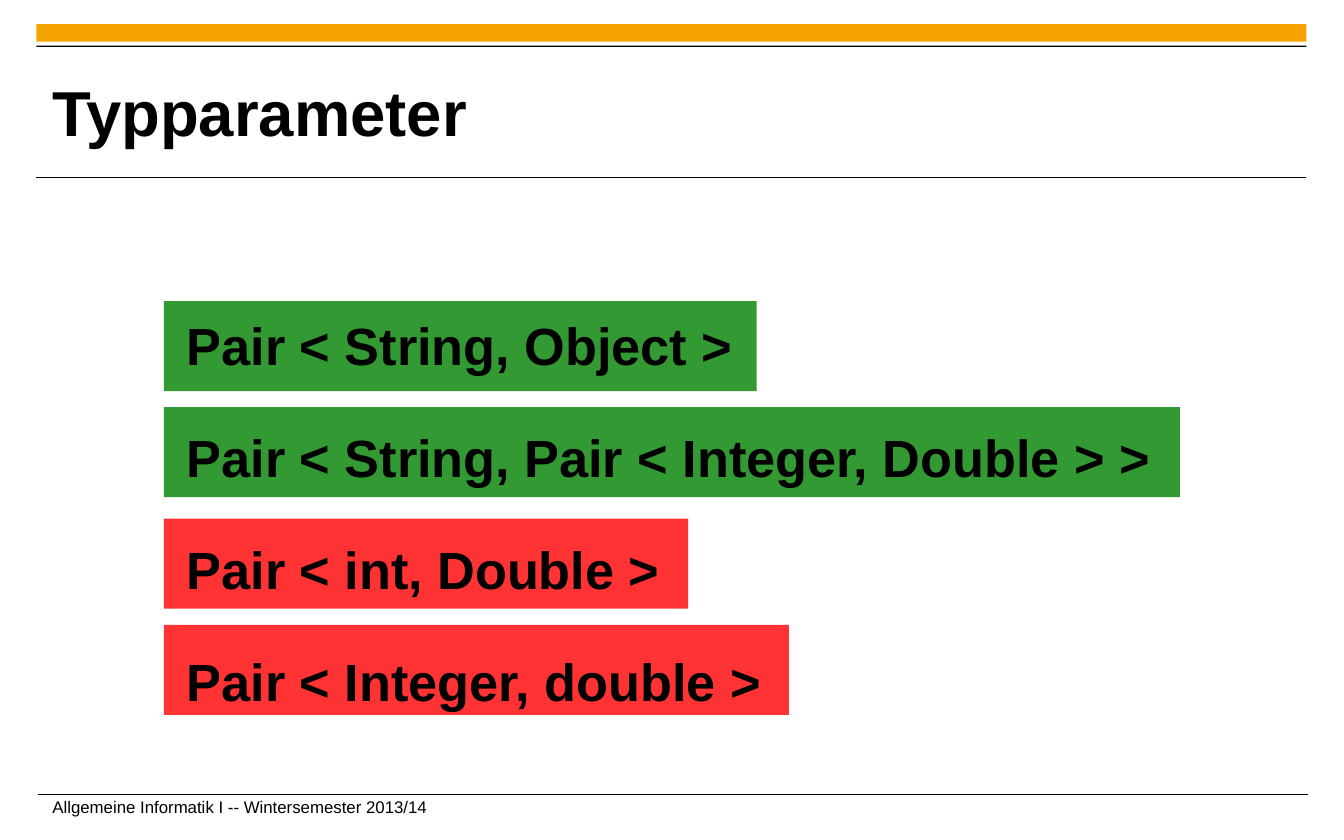
from lxml import etree
from pptx import Presentation
from pptx.dml.color import RGBColor
from pptx.enum import shapes, text
from pptx.oxml.ns import qn
from pptx.util import Inches, Pt

COLORS = {"ink": "000000", "accent": "F5A300", "valid": "008000", "invalid": "FF0000"}

TITLE_FORMAT = {"size": Pt(34), "bold": True, "name": "Arial"}
TYPE_FORMAT = {"size": Pt(28), "bold": True, "name": "Arial"}
FOOTER_FORMAT = {"size": Pt(9), "bold": False, "name": "Arial"}

# Type expression, top and width of its bar, verdict
TYPE_EXAMPLES = [
    ("Pair < String, Object >", 2.24, 4.41, "valid"),
    ("Pair < String, Pair < Integer, Double > >", 3.03, 7.56, "valid"),
    ("Pair < int, Double >", 3.86, 3.9, "invalid"),
    ("Pair < Integer, double >", 4.65, 4.65, "invalid"),
]


def color(key):
    return RGBColor.from_string(COLORS[key])


def add_bar(slide, left, top, width, height, fill, opacity=100):
    bar = slide.shapes.add_shape(
        shapes.MSO_SHAPE.RECTANGLE, *map(Inches, (left, top, width, height)))
    bar.shadow.inherit = False
    bar.fill.solid()
    bar.fill.fore_color.rgb = color(fill)
    bar.line.fill.background()
    if opacity < 100:
        srgb = bar._element.spPr.find(qn("a:solidFill")).find(qn("a:srgbClr"))
        etree.SubElement(srgb, qn("a:alpha"), val=str(opacity * 1000))


def add_rule(slide, left, top, width):
    rule = slide.shapes.add_connector(
        shapes.MSO_CONNECTOR.STRAIGHT,
        *map(Inches, (left, top, left + width, top)))
    rule.line.color.rgb = color("ink")
    rule.line.width = Pt(0.6)
    etree.SubElement(rule._element.spPr, qn("a:effectLst"))


def add_text(slide, left, top, width, height, lines, font_format,
             insets=(0, 0), anchor=text.MSO_ANCHOR.TOP, gap=0):
    box = slide.shapes.add_textbox(*map(Inches, (left, top, width, height)))
    side, edge = map(Inches, insets)
    frame = box.text_frame
    frame_format = {
        "word_wrap": True, "vertical_anchor": anchor,
        "margin_left": side, "margin_right": side,
        "margin_top": edge, "margin_bottom": edge,
    }
    for name, value in frame_format.items():
        setattr(frame, name, value)
    for index, line in enumerate(lines):
        paragraph = frame.add_paragraph() if index else frame.paragraphs[0]
        if index:
            paragraph.space_before = Pt(gap)
        run = paragraph.add_run()
        run.text = line
        for name, value in font_format.items():
            setattr(run.font, name, value)
        run.font.color.rgb = color("ink")


def main():
    presentation = Presentation()
    presentation.slide_width = Inches(10)
    presentation.slide_height = Inches(6.25)
    slide = presentation.slides.add_slide(presentation.slide_layouts[6])

    # Header band and rules
    add_bar(slide, 0.27, 0.18, 9.45, 0.13, "accent")
    add_rule(slide, 0.27, 1.32, 9.45)
    add_rule(slide, 0.28, 5.91, 9.45)
    add_bar(slide, 0.27, 0.34, 9.45, 0.01, "ink")

    # Title and footer
    add_text(slide, 0.39, 0.45, 7.52, 0.76, ["Typparameter"], TITLE_FORMAT,
             anchor=text.MSO_ANCHOR.MIDDLE)
    add_text(slide, 0.39, 5.93, 9.33, 0.21,
             ["Allgemeine Informatik I -- Wintersemester 2013/14"], FOOTER_FORMAT)

    # Bars marking valid and invalid type arguments
    for _, top, width, verdict in TYPE_EXAMPLES:
        add_bar(slide, 1.22, top, width, 0.67, verdict, opacity=80)

    # Type expressions over the bars
    expressions = [example[0] for example in TYPE_EXAMPLES]
    add_text(slide, 1.3, 2.28, 8.43, 3.56, expressions, TYPE_FORMAT,
             insets=(0.09, 0.05), gap=26.4)

    presentation.save("out.pptx")


if __name__ == "__main__":
    main()
